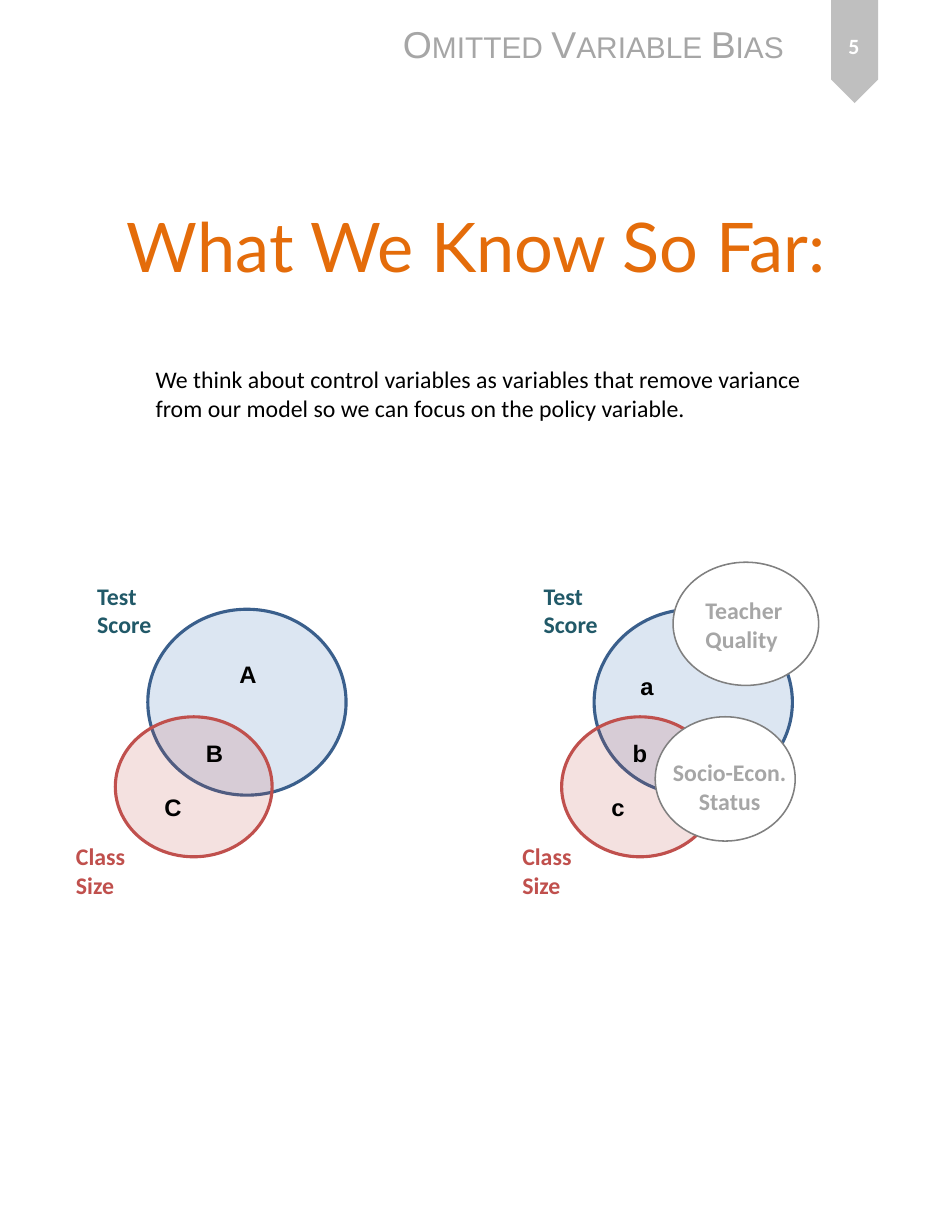
from lxml import etree
from pptx import Presentation
from pptx import util as u
from pptx.dml.color import RGBColor
from pptx.enum import shapes, text
from pptx.oxml import ns

WIDTH, HEIGHT = u.Inches(8.5), u.Inches(11)
COLUMNS, ROWS = 85, 110
VENN_SHIFT = 39.85

WHITE = RGBColor(0xFF, 0xFF, 0xFF)
BLACK = RGBColor(0x00, 0x00, 0x00)
SILVER = RGBColor(0xBF, 0xBF, 0xBF)
GREY = RGBColor(0xA6, 0xA6, 0xA6)
OUTLINE_GREY = RGBColor(0x80, 0x80, 0x80)
ORANGE = RGBColor(0xE4, 0x6C, 0x0A)
PALE_BLUE = RGBColor(0xDC, 0xE6, 0xF2)
BLUE = RGBColor(0x3A, 0x5F, 0x8C)
TEAL = RGBColor(0x21, 0x59, 0x68)
RED = RGBColor(0xC0, 0x50, 0x4D)

BODY = dict(name="Calibri", size=u.Pt(15.3), bold=False, color=BLACK)
LABEL = BODY | dict(bold=True)
LETTER = LABEL | dict(name="Arial")
HEADER = dict(name="Arial", size=u.Pt(24), color=GREY)
TITLE = dict(name="Lato", size=u.Pt(44), color=ORANGE)
PAGE_NUMBER = dict(name="Calibri", size=u.Pt(14), bold=True, color=WHITE)


def place(column, row, columns, rows):
    return (int(WIDTH * column / COLUMNS), int(HEIGHT * row / ROWS),
            int(WIDTH * columns / COLUMNS), int(HEIGHT * rows / ROWS))


def add_filled(slide, kind, box, fill, line=None, weight=1, opacity=None):
    shape = slide.shapes.add_shape(kind, *place(*box))
    shape.shadow.inherit = False
    shape.fill.solid()
    shape.fill.fore_color.rgb = fill
    if line is None:
        shape.line.fill.background()
    else:
        shape.line.color.rgb = line
        shape.line.width = u.Pt(weight)
    if opacity is not None:
        color = shape.fill._xPr.find(".//" + ns.qn("a:srgbClr"))
        etree.SubElement(color, ns.qn("a:alpha"), val=str(opacity * 1000))
    return shape


def add_oval(slide, box, fill, line, weight, opacity=None):
    add_filled(slide, shapes.MSO_SHAPE.OVAL, box, fill, line, weight, opacity)


def add_text(slide, words, box, style, wrap=True, grow=True,
             align=text.PP_ALIGN.LEFT, anchor=text.MSO_ANCHOR.TOP):
    frame = slide.shapes.add_textbox(*place(*box)).text_frame
    fit = text.MSO_AUTO_SIZE
    frame_format = dict(word_wrap=wrap, vertical_anchor=anchor,
                        auto_size=fit.SHAPE_TO_FIT_TEXT if grow else fit.NONE)
    for name, value in frame_format.items():
        setattr(frame, name, value)
    paragraph = frame.paragraphs[0]
    paragraph.alignment = align
    run = paragraph.add_run()
    run.text = words
    for name, value in style.items():
        if name == "color":
            run.font.color.rgb = value
        else:
            setattr(run.font, name, value)
    return run


def add_header(slide):
    ribbon = add_filled(slide, shapes.MSO_SHAPE.PENTAGON, (71.7, 2.5, 9.2, 4.2), SILVER)
    ribbon.rotation = 90
    run = add_text(slide, "Omitted Variable Bias", (35, 1.4, 36.4, 5), HEADER, wrap=False)
    run._r.get_or_add_rPr().set("cap", "small")
    centred = dict(grow=False, align=text.PP_ALIGN.CENTER, anchor=text.MSO_ANCHOR.MIDDLE)
    add_text(slide, "5", (72.9, 1.1, 6.7, 5.9), PAGE_NUMBER, **centred)
    add_text(slide, "What We Know So Far:", (4.3, 12.7, 76.5, 18.3), TITLE, **centred)


def add_venn(slide, shift):
    add_oval(slide, (13.2 + shift, 54.4, 17.7, 16.6), PALE_BLUE, BLUE, 2)
    add_oval(slide, (10.3 + shift, 64, 14, 12.5), RED, RED, 2, opacity=17)
    add_text(slide, "Test Score", (7.7 + shift, 51.4, 8.6, 6.2), LABEL | dict(color=TEAL))
    add_text(slide, "Class Size", (5.8 + shift, 74.7, 9.1, 6.2), LABEL | dict(color=RED))


def add_controls(slide):
    for box in ((58.5, 64, 12.5, 11.1), (60.1, 50.2, 13, 11)):
        add_oval(slide, box, WHITE, OUTLINE_GREY, 1)
    grey_label = LABEL | dict(color=GREY)
    add_text(slide, "Teacher Quality", (62, 52.7, 11.5, 6.2), grey_label)
    add_text(slide, "Socio-Econ. Status", (57.7, 67.2, 14.9, 6.2), grey_label,
             align=text.PP_ALIGN.CENTER)


def add_letters(slide, letters):
    for letter, column, row, columns in letters:
        add_text(slide, letter, (column, row, columns, 3.6), LETTER, wrap=False)


def main():
    presentation = Presentation()
    presentation.slide_width, presentation.slide_height = WIDTH, HEIGHT
    slide = presentation.slides.add_slide(presentation.slide_layouts[6])
    add_header(slide)
    add_text(slide, "We think about control variables as variables that remove variance "
             "from our model so we can focus on the policy variable.",
             (12.9, 32.1, 61.9, 6.2), BODY)
    add_venn(slide, 0)
    add_letters(slide, (("A", 20.4, 58.4, 3.6), ("B", 17.4, 65.5, 3.6), ("C", 13.7, 70.3, 3.6)))
    add_venn(slide, VENN_SHIFT)
    add_controls(slide)
    add_letters(slide, (("a", 56.2, 59.5, 3.2), ("b", 55.5, 65.5, 3.3), ("c", 53.6, 70.3, 3.2)))
    presentation.save("out.pptx")


if __name__ == "__main__":
    main()
